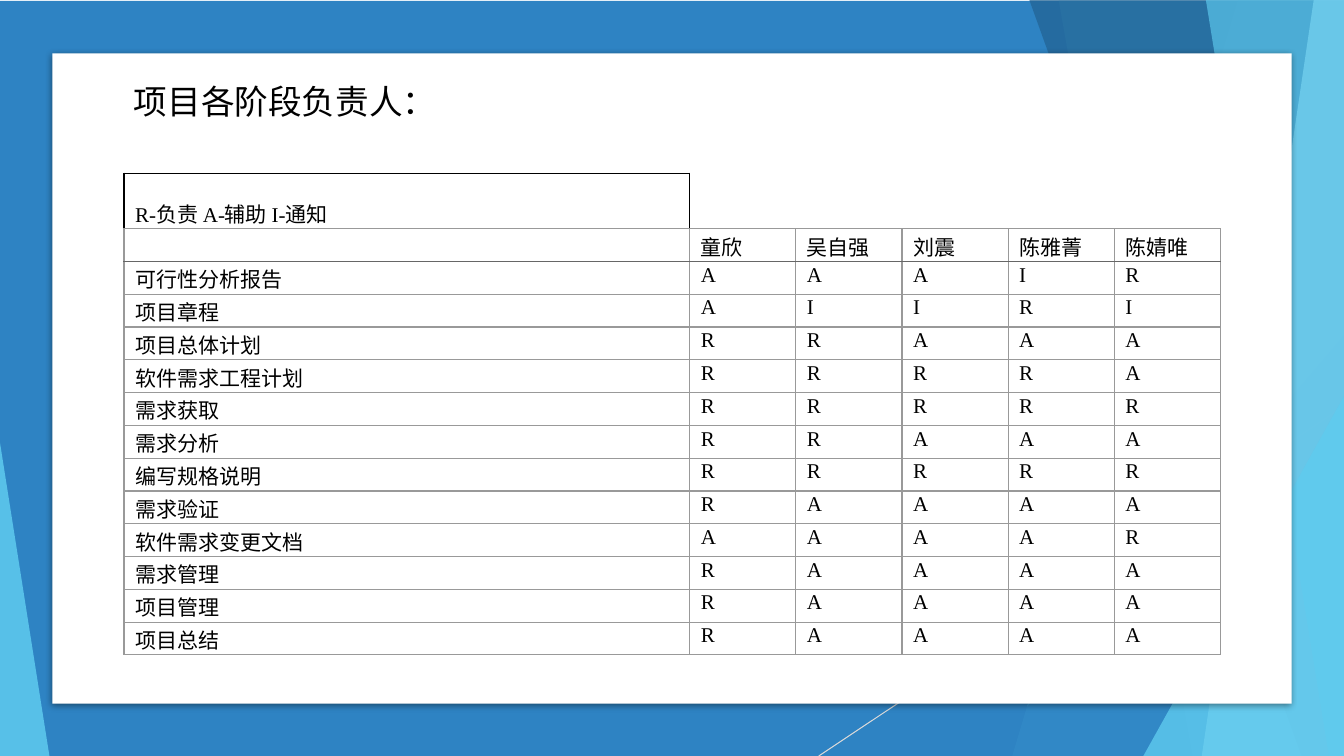
"""Build a slide with a responsibility table for each project phase."""
from dataclasses import dataclass

from lxml.etree import SubElement
from pptx import Presentation
from pptx.dml.color import RGBColor
from pptx.enum.shapes import MSO_CONNECTOR, MSO_SHAPE as SHAPE
from pptx.enum.text import MSO_ANCHOR as ANCHOR, PP_ALIGN as ALIGN
from pptx.oxml.ns import qn
from pptx.util import Inches, Pt

TITLE = "项目各阶段负责人："
LEGEND = "R-负责 A-辅助 I-通知"
PEOPLE = ["童欣", "吴自强", "刘震", "陈雅菁", "陈婧唯"]
PHASES = [
    ("可行性分析报告", "AAAIR"),
    ("项目章程", "AIIRI"),
    ("项目总体计划", "RRAAA"),
    ("软件需求工程计划", "RRRRA"),
    ("需求获取", "RRRRR"),
    ("需求分析", "RRAAA"),
    ("编写规格说明", "RRRRR"),
    ("需求验证", "RAAAA"),
    ("软件需求变更文档", "AAAAR"),
    ("需求管理", "RAAAA"),
    ("项目管理", "RAAAA"),
    ("项目总结", "RAAAA"),
]
ROWS = [[LEGEND] + [""] * len(PEOPLE), [""] + PEOPLE]
ROWS += [[phase, *roles] for phase, roles in PHASES]


@dataclass(frozen=True)
class Theme:
    blue: str = "2E83C3"
    navy: str = "226292"
    sky: str = "5FCBEF"
    pale: str = "9FE0F5"
    ray: str = "D9D9D9"
    grid: str = "999999"
    rule: str = "666666"
    white: str = "FFFFFF"
    black: str = "000000"
    latin: str = "Times New Roman"
    cjk: str = "Noto Sans CJK SC"
    title: int = 24
    body: int = 15


T = Theme()
DECOR = [
    ("ribbon", 92.12, 75.32, T.sky, 30),
    ("ribbon", 78.77, 88.75, T.sky, 20),
    ("wedge", 73.29, 44.4, T.blue, 72),
    ("ribbon", 76.59, 96.85, T.navy, 70),
    ("ribbon", 97.75, 89.42, T.pale, 70),
    ("ribbon", 89.72, 98.87, T.sky, 65),
    ("wedge", 85.07, 52.4, T.sky, 80),
]
LEFT_WEDGE = (0, 58.53, 3.68, 41.47)
CARD = (3.9, 7.07, 92.2, 86)
RAY = (100, 53.73, 60.92, 100)
TITLE_BOX = (9.23, 10, 24.23, 6.67)
TABLE_LEFT, TABLE_TOP = 9.23, 22.93
COLS = [42.09] + [7.9] * len(PEOPLE)
HEIGHTS = [7.33] + [4.34] * (len(ROWS) - 1)

prs = Presentation()
prs.slide_width, prs.slide_height = Inches(13.33), Inches(7.5)
slide = prs.slides.add_slide(prs.slide_layouts[6])
shapes = slide.shapes


def across(share):
    return round(prs.slide_width * share / 100)


def down(share):
    return round(prs.slide_height * share / 100)


def frame(x, y, w, h):
    return across(x), down(y), across(w), down(h)


def paint(sp, color, alpha=100):
    sp.shadow.inherit = False
    sp.line.fill.background()
    sp.fill.solid()
    sp.fill.fore_color.rgb = RGBColor.from_string(color)
    if alpha < 100:
        clr = sp.fill._xPr.find(".//" + qn("a:srgbClr"))
        SubElement(clr, qn("a:alpha"), val=str(alpha * 1000))


def add_wedge(box, apex, color, alpha):
    sp = shapes.add_shape(SHAPE.ISOSCELES_TRIANGLE, *frame(*box))
    sp.adjustments[0] = apex
    paint(sp, color, alpha)


def add_ribbon(top, bottom, color, alpha):
    fb = shapes.build_freeform(across(top), 0)
    corners = [(100, 0), (100, 100), (bottom, 100)]
    fb.add_line_segments([(across(x), down(y)) for x, y in corners])
    paint(fb.convert_to_shape(), color, alpha)


def add_backdrop():
    paint(shapes.add_shape(SHAPE.RECTANGLE, *frame(0, 0.13, 100, 99.87)), T.blue)
    x1, y1, x2, y2 = RAY
    ray = shapes.add_connector(
        MSO_CONNECTOR.STRAIGHT, across(x1), down(y1), across(x2), down(y2))
    ray.line.color.rgb = RGBColor.from_string(T.ray)
    ray.line.width = Pt(0.75)
    SubElement(ray._element.spPr, qn("a:effectLst"))
    for kind, a, b, color, alpha in DECOR:
        if kind == "ribbon":
            add_ribbon(a, b, color, alpha)
        else:
            add_wedge((a, b, 100 - a, 100 - b), 1, color, alpha)
    add_wedge(LEFT_WEDGE, 0, T.sky, 85)


def add_card():
    sp = shapes.add_shape(SHAPE.RECTANGLE, *frame(*CARD))
    paint(sp, T.white)
    effects = sp._element.spPr.find(qn("a:effectLst"))
    shadow = SubElement(effects, qn("a:outerShdw"), blurRad=str(Pt(5)),
                        dist=str(Pt(1.4)), dir="5400000", rotWithShape="0")
    clr = SubElement(shadow, qn("a:srgbClr"), val=T.black)
    SubElement(clr, qn("a:alpha"), val="43000")


def style(p, size, latin):
    for r in p.runs:
        r.font.size = Pt(size)
        r.font.name = latin
        r.font.color.rgb = RGBColor.from_string(T.black)
        SubElement(r._r.rPr, qn("a:ea"), typeface=T.cjk)


def edges(row, col):
    """Return the left, right, top and bottom borders as colour and width."""
    grid, rule, black = (T.grid, 1), (T.rule, 1.5), (T.black, 1)
    if row == 0:
        return [black if col < 2 else None, black if col == 0 else None,
                black if col == 0 else None, grid]
    return [grid, grid, rule if row == 2 else grid, rule if row == 1 else grid]


def set_borders(cell, borders):
    tcPr = cell._tc.get_or_add_tcPr()
    for side, border in zip("LRTB", borders):
        color, width = border or (None, 0)
        ln = SubElement(tcPr, qn("a:ln" + side), w=str(Pt(width)))
        if color:
            fill = SubElement(ln, qn("a:solidFill"))
            SubElement(fill, qn("a:srgbClr"), val=color)
        else:
            SubElement(ln, qn("a:noFill"))


def fill_cell(cell, row, col, text):
    set_borders(cell, edges(row, col))
    cell.fill.background()
    cell.margin_left = cell.margin_right = Inches(0.11)
    cell.margin_top, cell.margin_bottom = Inches(0.02), 0
    cell.vertical_anchor = ANCHOR.BOTTOM if row == 0 else ANCHOR.TOP
    p = cell.text_frame.paragraphs[0]
    p.alignment = ALIGN.JUSTIFY
    if text:
        p.text = text
        style(p, T.body, T.latin)
    else:
        SubElement(p._p, qn("a:endParaRPr"), sz=str(T.body * 100))


def add_roles_table():
    box = frame(TABLE_LEFT, TABLE_TOP, sum(COLS), sum(HEIGHTS))
    table = shapes.add_table(len(ROWS), len(COLS), *box).table
    table.first_row = table.horz_banding = False
    for column, width in zip(table.columns, COLS):
        column.width = across(width)
    for i, (height, texts) in enumerate(zip(HEIGHTS, ROWS)):
        table.rows[i].height = down(height)
        for j, text in enumerate(texts):
            fill_cell(table.cell(i, j), i, j, text)


def add_title():
    tf = shapes.add_textbox(*frame(*TITLE_BOX)).text_frame
    tf.word_wrap = False
    tf.text = TITLE
    style(tf.paragraphs[0], T.title, T.cjk)


add_backdrop()
add_card()
add_roles_table()
add_title()
prs.save("out.pptx")
